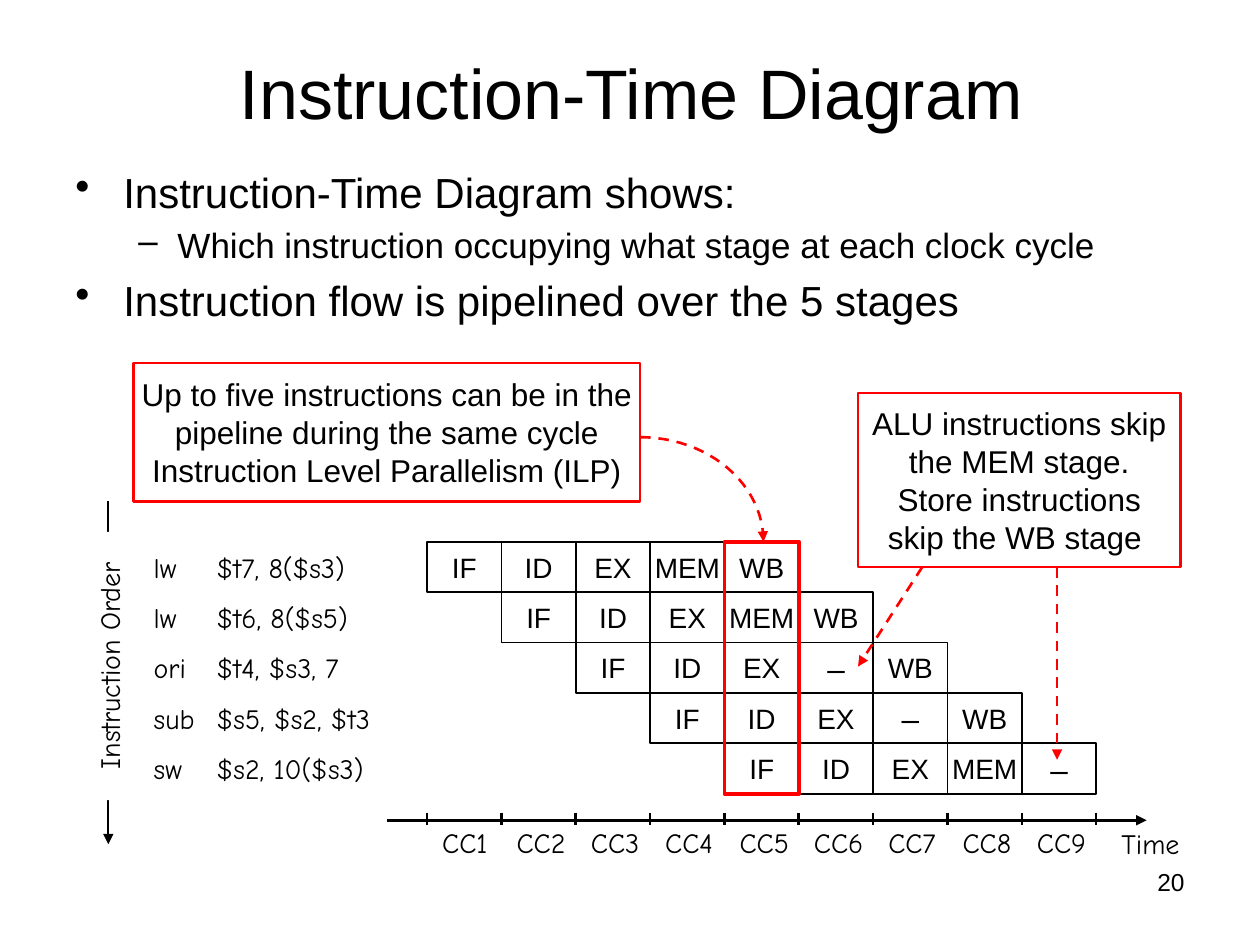
import math

from lxml import etree
from pptx import Presentation
from pptx.dml.color import RGBColor
from pptx.enum.dml import MSO_LINE
from pptx.enum.shapes import MSO_CONNECTOR, MSO_SHAPE
from pptx.enum.text import MSO_ANCHOR, PP_ALIGN
from pptx.oxml.ns import qn
from pptx.util import Inches, Pt

BLACK = RGBColor(0, 0, 0)
WHITE = RGBColor(255, 255, 255)
RED = RGBColor(255, 0, 0)
SANS, HAND = "Arial", "Comic Neue"
LEFT, MID, RIGHT = PP_ALIGN.LEFT, PP_ALIGN.CENTER, PP_ALIGN.RIGHT
TOP, CENTER = MSO_ANCHOR.TOP, MSO_ANCHOR.MIDDLE
RECT, STRAIGHT = MSO_SHAPE.RECTANGLE, MSO_CONNECTOR.STRAIGHT
DASH = MSO_LINE.DASH

# Grid of the pipeline: one column per cycle, one row per instruction
GRID_X, GRID_Y, COL, ROW = 3.39, 4.3, 0.59, 0.4
CYCLES = 9
AXIS_Y = 6.51
CODE = [
    ("lw\t$t7, 8($s3)", ["IF", "ID", "EX", "MEM", "WB"]),
    ("lw\t$t6, 8($s5)", ["IF", "ID", "EX", "MEM", "WB"]),
    ("ori\t$t4, $s3, 7", ["IF", "ID", "EX", "–", "WB"]),
    ("sub\t$s5, $s2, $t3", ["IF", "ID", "EX", "–", "WB"]),
    ("sw\t$s2, 10($s3)", ["IF", "ID", "EX", "MEM", "–"]),
]
# Text, level, size, space before, left margin, hanging indent, bullet
POINTS = [
    ("Instruction-Time Diagram shows:", 0, 24, 0, 0.38, -0.38, "•"),
    ("Which instruction occupying what stage at each clock cycle",
     1, 20, 4, 0.81, -0.31, "–"),
    ("Instruction flow is pipelined over the 5 stages",
     0, 24, 5, 0.38, -0.38, "•"),
]


def write(par, words, size=16, font=SANS, align=LEFT, margin=0, indent=0,
          bullet=None, tab=None, before=0, level=0):
    props = par._p.get_or_add_pPr()
    props.set("marL", str(Inches(margin)))
    props.set("indent", str(Inches(indent)))
    if bullet:
        etree.SubElement(props, qn("a:buChar"), char=bullet)
    if tab:
        stops = etree.SubElement(props, qn("a:tabLst"))
        etree.SubElement(stops, qn("a:tab"), pos=str(Inches(tab)), algn="l")
    par.level = level
    par.alignment = align
    if before:
        par.space_before = Pt(before)
    run = par.add_run()
    run.text = words
    run.font.size = Pt(size)
    run.font.name = font
    run.font.color.rgb = BLACK


def frame(shape, anchor=TOP, pad=(0, 0), wrap=True):
    body = shape.text_frame
    body.word_wrap = wrap
    body.vertical_anchor = anchor
    body.margin_left = body.margin_right = Inches(pad[0])
    body.margin_top = body.margin_bottom = Inches(pad[1])
    return body


def label(slide, spot, words, anchor=TOP, pad=(0, 0), **style):
    box = slide.shapes.add_textbox(*map(Inches, spot))
    write(frame(box, anchor, pad).paragraphs[0], words, **style)


def block(slide, spot, lines=(), color=BLACK, width=1, fill=None, pad=(0, 0),
          wrap=True, **style):
    box = slide.shapes.add_shape(RECT, *map(Inches, spot))
    box.shadow.inherit = False
    if fill is None:
        box.fill.background()
    else:
        box.fill.solid()
        box.fill.fore_color.rgb = fill
    if color is None:
        box.line.fill.background()
    else:
        box.line.color.rgb = color
        box.line.width = Pt(width)
    body = frame(box, CENTER, pad, wrap)
    for i, words in enumerate(lines):
        par = body.add_paragraph() if i else body.paragraphs[0]
        write(par, words, align=MID, **style)
    return box


def stroke(line, color, width, dash=None, arrow=False):
    line.color.rgb = color
    line.width = Pt(width)
    if dash:
        line.dash_style = dash
    if arrow:
        etree.SubElement(line._get_or_add_ln(), qn("a:tailEnd"),
                         type="triangle")


def rule(slide, start, end, color=BLACK, width=1.5, **look):
    line = slide.shapes.add_connector(STRAIGHT, *map(Inches, start + end))
    stroke(line.line, color, width, **look)
    etree.SubElement(line._element.spPr, qn("a:effectLst"))


def curve(slide, left, top, wide, high, steps=24):
    """Dashed quarter ellipse, from the top left to the bottom right."""
    turns = [math.pi / 2 * i / steps for i in range(steps + 1)]
    dots = [(Inches(left + wide * math.sin(t)),
             Inches(top + high * (1 - math.cos(t)))) for t in turns]
    path = slide.shapes.build_freeform(*dots[0])
    path.add_line_segments(dots[1:], close=False)
    arc = path.convert_to_shape()
    arc.shadow.inherit = False
    arc.fill.background()
    stroke(arc.line, RED, 1.5, dash=DASH, arrow=True)


def heading(slide):
    label(slide, (0.51, 0.1, 9, 1.25), "Instruction-Time Diagram",
          anchor=CENTER, pad=(0, 0.05), size=40, align=MID)
    box = slide.shapes.add_textbox(*map(Inches, (0.5, 1.23, 8.95, 1.77)))
    body = frame(box, pad=(0.1, 0.09))
    for i, (words, level, size, before, margin, indent, mark) in \
            enumerate(POINTS):
        par = body.add_paragraph() if i else body.paragraphs[0]
        write(par, words, size=size, level=level, before=before,
              margin=margin, indent=indent, bullet=mark)


def stages(slide):
    for row, (code, steps) in enumerate(CODE):
        y = GRID_Y + row * ROW
        label(slide, (1.22, y, 2.06, ROW), code, anchor=CENTER,
              pad=(0, 0.05), font=HAND, tab=0.5)
        for i, step in enumerate(steps):
            block(slide, (GRID_X + (row + i) * COL, y, COL, ROW), [step],
                  size=18 if step == "–" else 16, wrap=False)


def axes(slide):
    # Time axis
    rule(slide, (3.07, AXIS_Y), (9.1, AXIS_Y), arrow=True)
    label(slide, (8.58, AXIS_Y, 0.98, 0.37), "Time", pad=(0.1, 0.05),
          font=HAND, align=MID, margin=0.12, level=1)
    for i in range(CYCLES + 1):
        x = GRID_X + i * COL
        rule(slide, (x, 6.45), (x, 6.55))
        if i < CYCLES:
            label(slide, (x, 6.55, 0.6, 0.3), f"CC{i + 1}", font=HAND,
                  margin=0.12, level=1)
    # Order axis
    rule(slide, (0.86, 3.98), (0.86, 6.7), width=1, arrow=True)
    order = block(slide, (-0.2, 5.09, 2.13, 0.39), ["Instruction Order"],
                  color=None, fill=WHITE, font=HAND)
    order.rotation = 270


def notes(slide):
    # Full pipeline in cycle 5
    curve(slide, 5.08, 3.47, 0.98, 0.83)
    block(slide, (1.06, 2.88, 4.02, 1.1),
          ["Up to five instructions can be in the pipeline during the same "
           "cycle", "Instruction Level Parallelism (ILP)"],
          color=RED, width=1.5, size=18)
    block(slide, (GRID_X + 4 * COL, GRID_Y, COL, 5 * ROW), color=RED,
          width=2.25)
    # Skipped stages
    block(slide, (6.81, 3.12, 2.56, 1.38),
          ["ALU instructions skip the MEM stage. Store instructions skip "
           "the WB stage "], color=RED, width=1.5, pad=(0.08, 0), size=18)
    for start, end in [((7.32, 4.5), (6.81, 5.29)),
                       ((8.39, 4.5), (8.39, 6.03))]:
        rule(slide, start, end, RED, dash=DASH, arrow=True)


def main():
    deck = Presentation()
    deck.slide_width, deck.slide_height = Inches(10), Inches(7.5)
    slide = deck.slides.add_slide(deck.slide_layouts[6])
    heading(slide)
    stages(slide)
    axes(slide)
    notes(slide)
    # Page number
    label(slide, (7.17, 6.83, 2.33, 0.52), "20", pad=(0.1, 0.05), size=14,
          align=RIGHT)
    deck.save("out.pptx")


if __name__ == "__main__":
    main()
